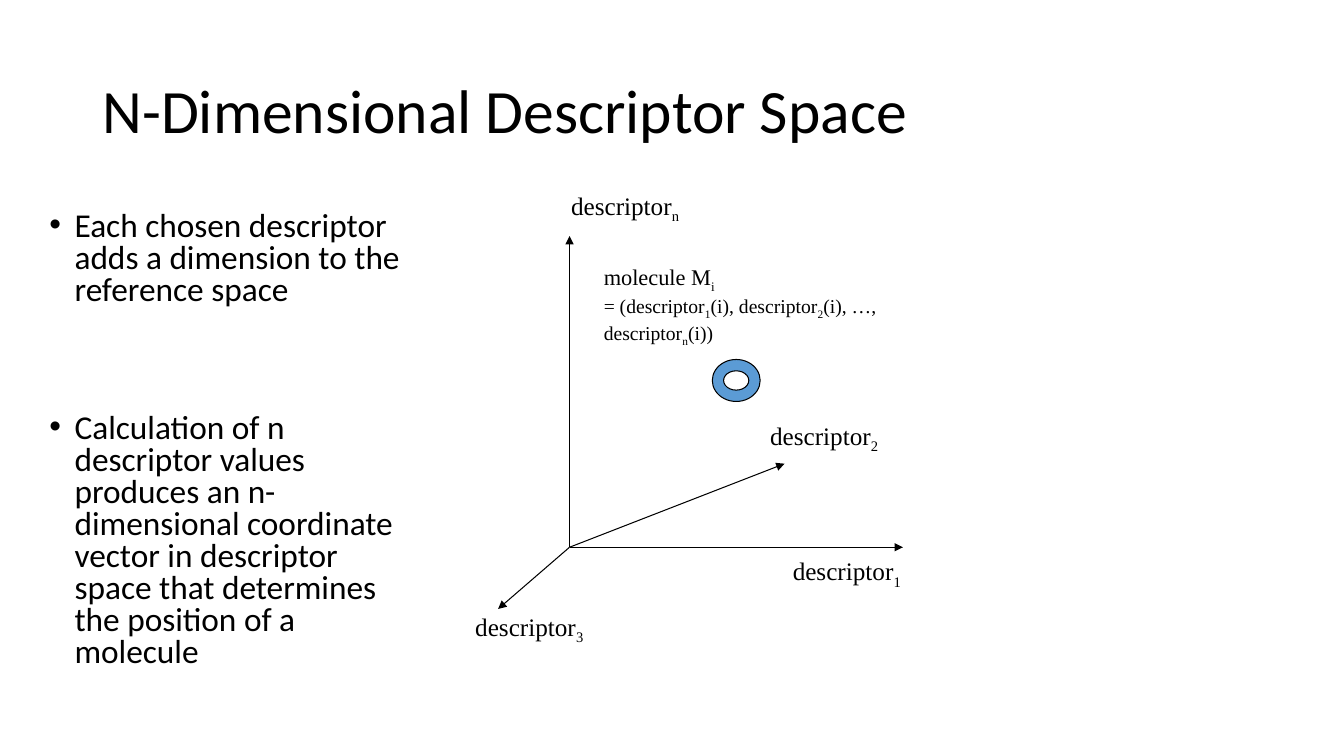
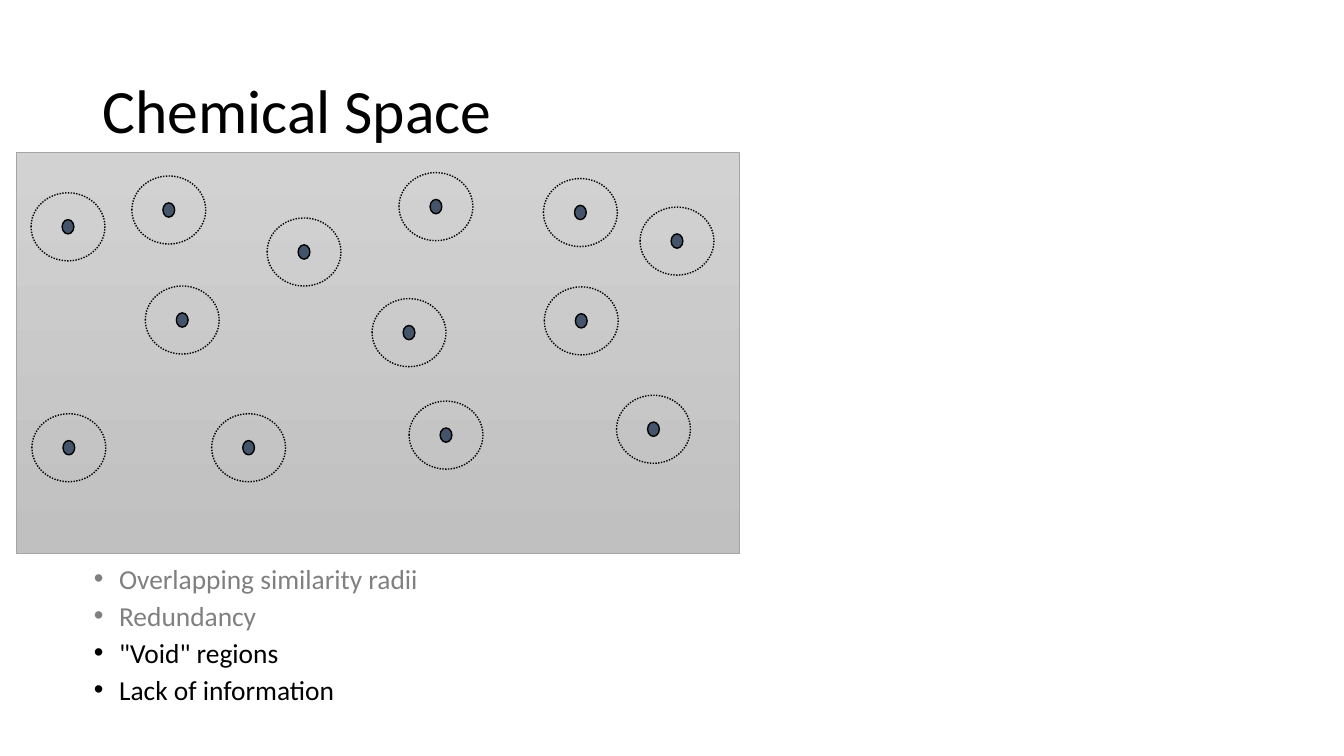
from dataclasses import dataclass
from typing import Any, NamedTuple

from lxml import etree
from pptx import Presentation
from pptx.dml.color import RGBColor
from pptx.enum.dml import MSO_LINE
from pptx.enum.shapes import MSO_CONNECTOR, MSO_SHAPE
from pptx.enum.text import MSO_ANCHOR, MSO_AUTO_SIZE, PP_ALIGN
from pptx.oxml.ns import qn
from pptx.util import Inches, Pt

STRAIGHT = MSO_CONNECTOR.STRAIGHT
RECTANGLE, OVAL, DONUT = MSO_SHAPE.RECTANGLE, MSO_SHAPE.OVAL, MSO_SHAPE.DONUT
DOTTED = MSO_LINE.ROUND_DOT
TOP, MIDDLE = MSO_ANCHOR.TOP, MSO_ANCHOR.MIDDLE

SLIDE_WIDTH, SLIDE_HEIGHT = Inches(13.33), Inches(7.5)
COLUMNS, ROWS = 160, 90
TITLE_ONLY = 5

BLACK, WHITE, GREY = "000000", "FFFFFF", "808080"
BLUE, SLATE = "5B9BD5", "44546A"
PANEL_TOP, PANEL_BOTTOM, PANEL_EDGE = "D2D2D2", "C0C0C0", "A5A5A5"
SANS, SERIF = "Calibri", "Times New Roman"

TITLE_FONT = {"name": SANS, "size": Pt(44), "bold": False}
TITLE_PARAGRAPH = {"alignment": PP_ALIGN.LEFT, "line_spacing": 0.9}
BULLET_INDENT = Inches(0.25)


class Point(NamedTuple):
    column: float
    row: float


class Box(NamedTuple):
    column: float
    row: float
    columns: float
    rows: float


@dataclass(frozen=True)
class Bullet:
    text: str
    color: str = BLACK
    space_before: float = 10


@dataclass(frozen=True)
class Line:
    """One line of a label; an underscore lowers the character after it."""
    text: str
    size: float = 18


@dataclass(frozen=True)
class Axis:
    tip: Point
    label: str
    label_box: Box


TITLE_BOX = Box(11, 4.8, 138, 17.4)

SPACE_BULLETS_BOX = Box(4.7, 24.7, 45.5, 57.1)
SPACE_BULLETS = [
    Bullet("Each chosen descriptor adds a dimension to the reference space"),
    Bullet("Calculation of n descriptor values produces an n-dimensional "
           "coordinate vector in descriptor space that determines the "
           "position of a molecule", space_before=75.7),
]
ORIGIN = Point(67.8, 65.15)
AXES = [
    Axis(Point(59.3, 72.5), "descriptor_3", Box(55.4, 72.5, 18.8, 4.6)),
    Axis(Point(93.4, 55.2), "descriptor_2", Box(90.5, 49.8, 23.2, 4.6)),
    Axis(Point(107.5, 65.15), "descriptor_1", Box(93.2, 65.9, 23.8, 4.6)),
    Axis(Point(67.8, 28.1), "descriptor_n", Box(66.8, 22.4, 22.3, 4.6)),
]
MOLECULE_LABEL_BOX = Box(70.7, 31.9, 43.9, 8.9)
MOLECULE_LABEL = [
    Line("molecule M_i", 16),
    Line("= (descriptor_1(i), descriptor_2(i), …, descriptor_n(i))", 14),
]
MOLECULE_BOX = Box(84.8, 42.8, 5.7, 5)
MOLECULE_RING = 0.27

PANEL_BOX = Box(2, 18.1, 86, 47.8)
COMPOUNDS = [
    Point(8.1, 27), Point(20.1, 25), Point(36.2, 30), Point(51.9, 24.6),
    Point(69.1, 25.3), Point(80.6, 28.7), Point(21.7, 38.1),
    Point(48.7, 39.6), Point(69.2, 38.2), Point(8.2, 53.3),
    Point(29.6, 53.3), Point(53.1, 51.8), Point(77.8, 51.1),
]
COMPOUND_SIZE = (1.4, 1.7)
RADIUS_SIZE = (8.8, 8.1)
REGION_BULLETS_BOX = Box(10, 67.4, 138, 17.5)
REGION_BULLETS = [
    Bullet("Overlapping similarity radii", GREY),
    Bullet("Redundancy", GREY),
    Bullet('"Void" regions'),
    Bullet("Lack of information"),
]


def rgb(color: str) -> RGBColor:
    return RGBColor.from_string(color)


def x(columns: float) -> int:
    return round(SLIDE_WIDTH * columns / COLUMNS)


def y(rows: float) -> int:
    return round(SLIDE_HEIGHT * rows / ROWS)


def place(box: Box) -> tuple[int, int, int, int]:
    return x(box.column), y(box.row), x(box.columns), y(box.rows)


def centred(point: Point, size: tuple[float, float]) -> Box:
    columns, rows = size
    return Box(point.column - columns / 2, point.row - rows / 2, columns, rows)


def set_values(target: Any, values: dict[str, Any]) -> None:
    for attribute, value in values.items():
        setattr(target, attribute, value)


def add_titled_slide(deck: Any, title: str) -> Any:
    slide = deck.slides.add_slide(deck.slide_layouts[TITLE_ONLY])
    heading = slide.shapes.title
    left, top, width, height = place(TITLE_BOX)
    set_values(heading, {"left": left, "top": top,
                         "width": width, "height": height})
    frame = heading.text_frame
    set_values(frame, {"text": title, "auto_size": MSO_AUTO_SIZE.NONE,
                       "vertical_anchor": MIDDLE})
    paragraph = frame.paragraphs[0]
    set_values(paragraph, TITLE_PARAGRAPH)
    set_values(paragraph.runs[0].font, TITLE_FONT)
    paragraph.runs[0].font.color.rgb = rgb(BLACK)
    return slide


def add_run(paragraph: Any, text: str, font: str, size: float,
            color: str = BLACK, lowered: bool = False) -> None:
    run = paragraph.add_run()
    run.text = text
    set_values(run.font, {"name": font, "size": Pt(size)})
    run.font.color.rgb = rgb(color)
    if lowered:
        run._r.get_or_add_rPr().set("baseline", "-25000")


def add_frame(slide: Any, box: Box, anchor: Any, fill: str | None = None) -> Any:
    """Add a wrapping text box and return its text frame."""
    holder = slide.shapes.add_textbox(*place(box))
    if fill:
        holder.fill.solid()
        holder.fill.fore_color.rgb = rgb(fill)
    set_values(holder.text_frame, {"word_wrap": True, "vertical_anchor": anchor})
    return holder.text_frame


def next_paragraph(frame: Any, index: int) -> Any:
    return frame.add_paragraph() if index else frame.paragraphs[0]


def add_bullets(slide: Any, box: Box, bullets: list[Bullet], size: float,
                line_spacing: float) -> None:
    frame = add_frame(slide, box, TOP)
    for index, bullet in enumerate(bullets):
        paragraph = next_paragraph(frame, index)
        set_values(paragraph, {"line_spacing": line_spacing,
                               "space_before": Pt(bullet.space_before)})
        properties = paragraph._p.get_or_add_pPr()
        properties.set("marL", str(BULLET_INDENT))
        properties.set("indent", str(-BULLET_INDENT))
        etree.SubElement(properties, qn("a:buFont"), typeface="Arial")
        etree.SubElement(properties, qn("a:buChar"), char="•")
        add_run(paragraph, bullet.text, SANS, size, bullet.color)


def add_label(slide: Any, box: Box, lines: list[Line]) -> None:
    frame = add_frame(slide, box, MIDDLE, WHITE)
    for index, line in enumerate(lines):
        paragraph = next_paragraph(frame, index)
        first, *others = line.text.split("_")
        add_run(paragraph, first, SERIF, line.size)
        for part in others:
            add_run(paragraph, part[0], SERIF, line.size, lowered=True)
            if part[1:]:
                add_run(paragraph, part[1:], SERIF, line.size)


def add_arrow(slide: Any, start: Point, end: Point) -> None:
    arrow = slide.shapes.add_connector(
        STRAIGHT, x(start.column), y(start.row), x(end.column), y(end.row))
    arrow.line.width = Pt(0.75)
    arrow.line.color.rgb = rgb(BLACK)
    etree.SubElement(arrow.line._get_or_add_ln(), qn("a:tailEnd"), type="triangle")
    etree.SubElement(arrow._element.spPr, qn("a:effectLst"))


def add_figure(slide: Any, kind: Any, box: Box, fill: str | None = None,
               edge: str = BLACK, edge_width: float = 1) -> Any:
    figure = slide.shapes.add_shape(kind, *place(box))
    figure.shadow.inherit = False
    if fill:
        figure.fill.solid()
        figure.fill.fore_color.rgb = rgb(fill)
    else:
        figure.fill.background()
    figure.line.color.rgb = rgb(edge)
    figure.line.width = Pt(edge_width)
    return figure


def build_descriptor_space(deck: Any) -> None:
    slide = add_titled_slide(deck, "N-Dimensional Descriptor Space")
    add_bullets(slide, SPACE_BULLETS_BOX, SPACE_BULLETS, 23.8, 0.8)
    for axis in AXES:
        add_label(slide, axis.label_box, [Line(axis.label)])
    for axis in AXES:
        add_arrow(slide, ORIGIN, axis.tip)
    add_label(slide, MOLECULE_LABEL_BOX, MOLECULE_LABEL)
    molecule = add_figure(slide, DONUT, MOLECULE_BOX, BLUE, edge_width=0.75)
    molecule.adjustments[0] = MOLECULE_RING


def build_chemical_space(deck: Any) -> None:
    slide = add_titled_slide(deck, "Chemical Space")
    panel = add_figure(slide, RECTANGLE, PANEL_BOX, edge=PANEL_EDGE, edge_width=0.5)
    panel.fill.gradient()
    panel.fill.gradient_angle = 270
    for stop, color in zip(panel.fill.gradient_stops, (PANEL_TOP, PANEL_BOTTOM)):
        stop.color.rgb = rgb(color)
    add_bullets(slide, REGION_BULLETS_BOX, REGION_BULLETS, 19.6, 0.7)
    for compound in COMPOUNDS:
        add_figure(slide, OVAL, centred(compound, COMPOUND_SIZE), SLATE)
        radius = add_figure(slide, OVAL, centred(compound, RADIUS_SIZE))
        radius.line.dash_style = DOTTED


def main() -> None:
    deck = Presentation()
    set_values(deck, {"slide_width": SLIDE_WIDTH, "slide_height": SLIDE_HEIGHT})
    build_descriptor_space(deck)
    build_chemical_space(deck)
    deck.save("out.pptx")


if __name__ == "__main__":
    main()
